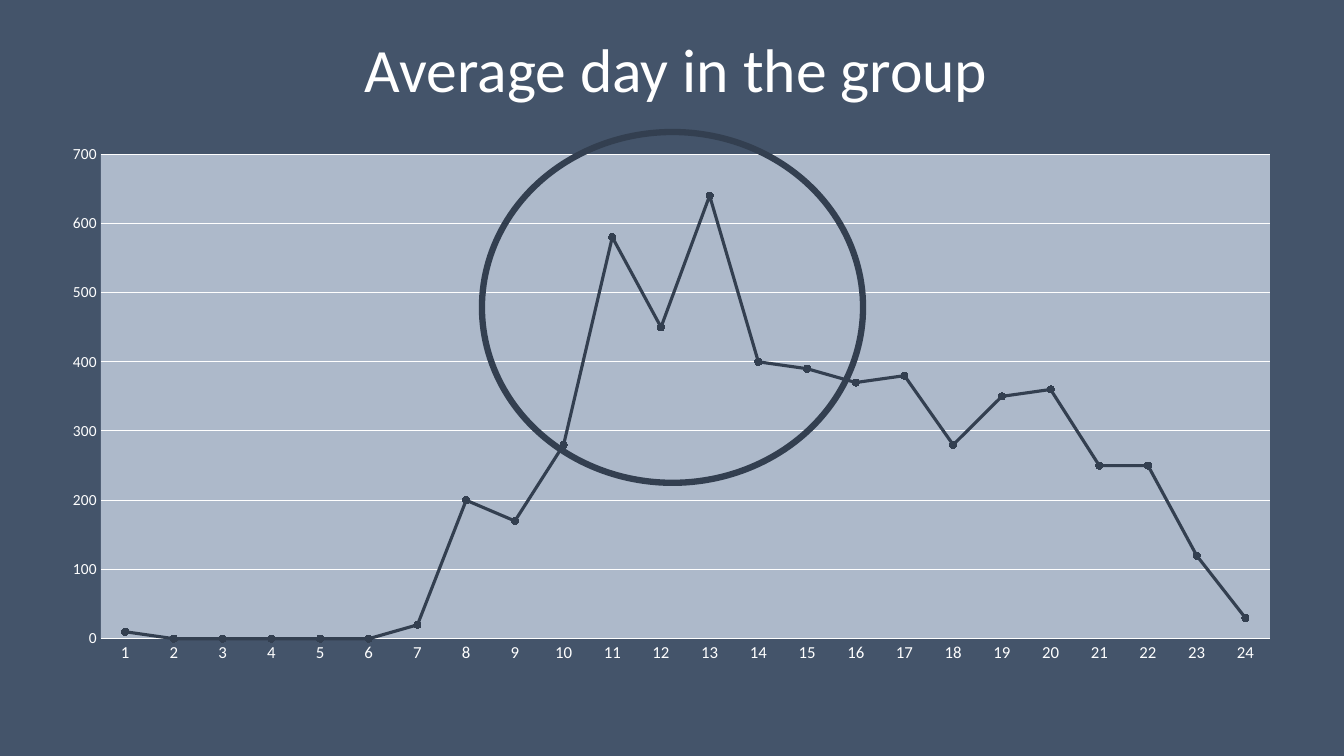
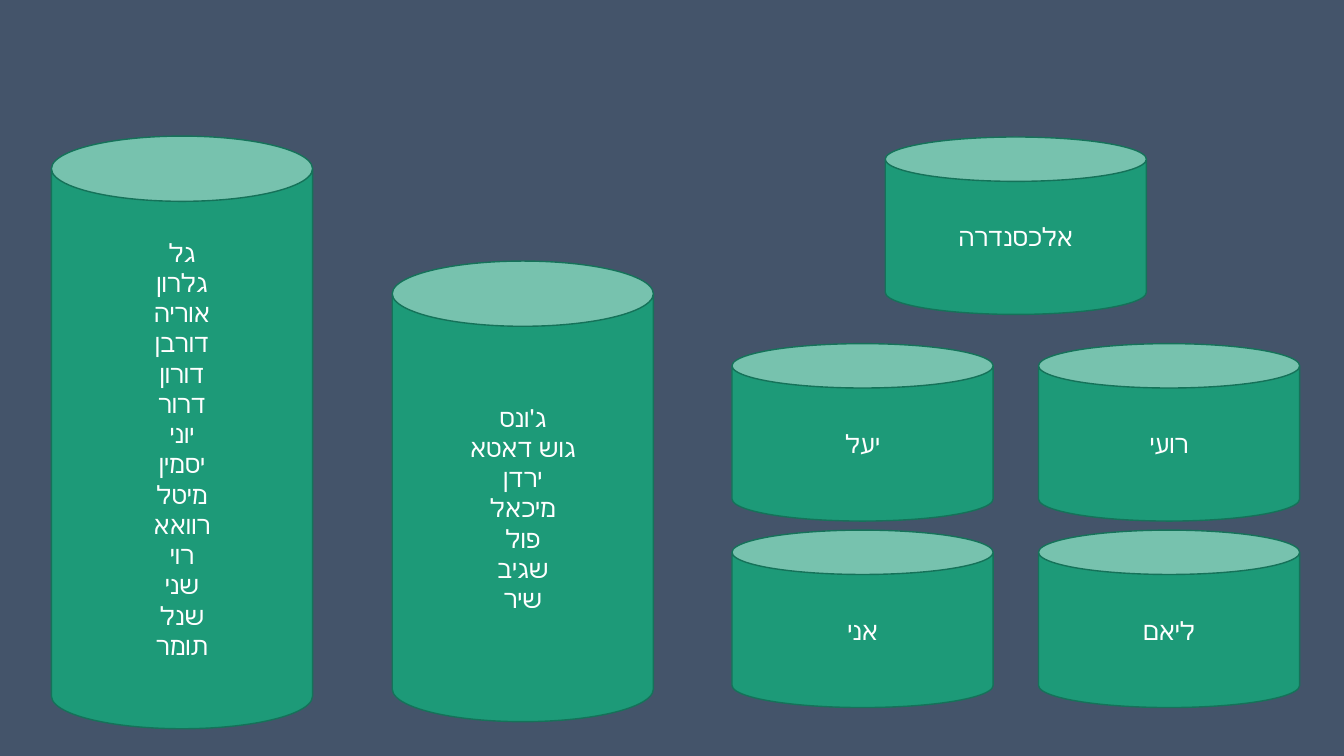
import dataclasses

import lxml.etree
import pptx
import pptx.chart.chart
import pptx.chart.data
import pptx.dml.color
import pptx.dml.fill
import pptx.enum.chart
import pptx.enum.shapes
import pptx.enum.text
import pptx.oxml
import pptx.oxml.ns
import pptx.presentation
import pptx.slide
import pptx.text.text
import pptx.util
from pptx.util import Inches

FONT = "Calibri"
NAVY = "44546A"
DARK = "333F50"
PALE = "ADB9CA"
WHITE = "FFFFFF"
GREEN = "1D9A78"
DEEP_GREEN = "157259"

HOURLY_COUNTS = (
    10, 0, 0, 0, 0, 0, 20, 200, 170, 280, 580, 450,
    640, 400, 390, 370, 380, 280, 350, 360, 250, 250, 120, 30,
)
PLOT_FRAME = {"x": 0.033, "y": 0.112, "w": 0.955, "h": 0.842}

CAN_WIDTH = 2.59
SMALL_HEIGHT = 1.76
LEFT_COLUMN, RIGHT_COLUMN = 7.26, 10.3
UPPER_ROW, LOWER_ROW = 3.41, 5.26


@dataclasses.dataclass(frozen=True)
class Can:
    left: float
    top: float
    names: tuple[str, ...]
    height: float = SMALL_HEIGHT


CANS = (
    Can(0.51, 1.35, (
        "גל", "גלרון", "אוריה", "דורבן", "דורון", "דרור", "יוני",
        "יסמין", "מיטל", "רוואא", "רוי", "שני", "שנל", "תומר",
    ), 5.88),
    Can(3.89, 2.59, (
        "ג'ונס", "גוש דאטא", "ירדן", "מיכאל", "פול", "שגיב", "שיר",
    ), 4.57),
    Can((LEFT_COLUMN + RIGHT_COLUMN) / 2, 1.36, ("אלכסנדרה",)),
    Can(LEFT_COLUMN, UPPER_ROW, ("יעל",)),
    Can(RIGHT_COLUMN, UPPER_ROW, ("רועי",)),
    Can(LEFT_COLUMN, LOWER_ROW, ("אני",)),
    Can(RIGHT_COLUMN, LOWER_ROW, ("ליאם",)),
)


def color(value: str) -> pptx.dml.color.RGBColor:
    return pptx.dml.color.RGBColor.from_string(value)


def paint(fill: pptx.dml.fill.FillFormat, value: str) -> None:
    fill.solid()
    fill.fore_color.rgb = color(value)


def style_font(font: pptx.text.text.Font, size: float) -> None:
    font.name = FONT
    font.size = pptx.util.Pt(size)
    font.bold = False
    font.color.rgb = color(WHITE)


def style_line(line, value: str, width: float) -> None:
    paint(line.fill, value)
    line.width = pptx.util.Pt(width)


def add_slide(presentation: pptx.presentation.Presentation) -> pptx.slide.Slide:
    slide = presentation.slides.add_slide(presentation.slide_layouts[6])
    paint(slide.background.fill, NAVY)
    return slide


def add_title(slide: pptx.slide.Slide, text: str) -> None:
    box = slide.shapes.add_textbox(
        Inches(0.96), Inches(-0.01), Inches(11.5), Inches(1.45)
    )
    frame = box.text_frame
    frame.word_wrap = True
    frame.vertical_anchor = pptx.enum.text.MSO_ANCHOR.MIDDLE
    paragraph = frame.paragraphs[0]
    paragraph.text = text
    paragraph.alignment = pptx.enum.text.PP_ALIGN.CENTER
    paragraph.line_spacing = 0.9
    style_font(paragraph.font, 44)


def format_plot_area(chart: pptx.chart.chart.Chart) -> None:
    """Fix the inner plot frame and give it a pale fill."""
    qn = pptx.oxml.ns.qn
    plot_area = chart.element.find(f".//{qn('c:plotArea')}")
    for old_layout in plot_area.findall(qn("c:layout")):
        plot_area.remove(old_layout)
    layout = lxml.etree.Element(qn("c:layout"))
    manual = lxml.etree.SubElement(layout, qn("c:manualLayout"))
    settings = {"layoutTarget": "inner", "xMode": "edge", "yMode": "edge", **PLOT_FRAME}
    for name, value in settings.items():
        lxml.etree.SubElement(manual, qn(f"c:{name}")).set("val", str(value))
    plot_area.insert(0, layout)

    properties = lxml.etree.SubElement(plot_area, qn("c:spPr"))
    solid = lxml.etree.SubElement(properties, qn("a:solidFill"))
    lxml.etree.SubElement(solid, qn("a:srgbClr")).set("val", PALE)


def format_axes(chart: pptx.chart.chart.Chart) -> None:
    category_axis, value_axis = chart.category_axis, chart.value_axis
    for axis, size in ((category_axis, 12), (value_axis, 11)):
        axis.major_tick_mark = pptx.enum.chart.XL_TICK_MARK.NONE
        axis.minor_tick_mark = pptx.enum.chart.XL_TICK_MARK.NONE
        style_font(axis.tick_labels.font, size)
    style_line(category_axis.format.line, WHITE, 0.75)
    value_axis.format.line.fill.background()
    value_axis.minimum_scale = 0
    value_axis.maximum_scale = 700
    value_axis.major_unit = 100
    style_line(value_axis.major_gridlines.format.line, WHITE, 0.75)


def add_hourly_chart(slide: pptx.slide.Slide) -> None:
    data = pptx.chart.data.CategoryChartData()
    data.categories = [str(hour) for hour in range(1, len(HOURLY_COUNTS) + 1)]
    data.add_series("Series 1", HOURLY_COUNTS)
    chart = slide.shapes.add_chart(
        pptx.enum.chart.XL_CHART_TYPE.LINE_MARKERS,
        Inches(0.6), Inches(0.89), Inches(12.14), Inches(5.71), data,
    ).chart
    chart.has_title = False
    chart.has_legend = False
    style_font(chart.font, 10)
    format_axes(chart)
    format_plot_area(chart)

    chart.plots[0].vary_by_categories = False
    series = chart.plots[0].series[0]
    series.smooth = False
    style_line(series.format.line, DARK, 2.25)
    series.marker.style = pptx.enum.chart.XL_MARKER_STYLE.CIRCLE
    series.marker.size = 5
    paint(series.marker.format.fill, DARK)
    paint(series.marker.format.line.fill, DARK)


def add_peak_ring(slide: pptx.slide.Slide) -> None:
    ring = slide.shapes.add_shape(
        pptx.enum.shapes.MSO_SHAPE.OVAL,
        Inches(4.78), Inches(1.31), Inches(3.78), Inches(3.48),
    )
    ring.shadow.inherit = False
    ring.fill.background()
    style_line(ring.line, DARK, 4.5)


def add_can(slide: pptx.slide.Slide, can: Can) -> None:
    shape = slide.shapes.add_shape(
        pptx.enum.shapes.MSO_SHAPE.CAN,
        Inches(can.left), Inches(can.top), Inches(CAN_WIDTH), Inches(can.height),
    )
    shape.shadow.inherit = False
    paint(shape.fill, GREEN)
    style_line(shape.line, DEEP_GREEN, 1)
    frame = shape.text_frame
    frame.word_wrap = True
    frame.vertical_anchor = pptx.enum.text.MSO_ANCHOR.MIDDLE
    frame.text = "\n".join(can.names)
    for paragraph in frame.paragraphs:
        paragraph.alignment = pptx.enum.text.PP_ALIGN.CENTER
        paragraph._p.get_or_add_pPr().set("rtl", "1")
        style_font(paragraph.font, 18)


def main() -> None:
    presentation = pptx.Presentation()
    presentation.slide_width = Inches(13.33)
    presentation.slide_height = Inches(7.5)

    chart_slide = add_slide(presentation)
    add_hourly_chart(chart_slide)
    add_peak_ring(chart_slide)
    add_title(chart_slide, "Average day in the group")

    names_slide = add_slide(presentation)
    for can in CANS:
        add_can(names_slide, can)

    presentation.save("out.pptx")


if __name__ == "__main__":
    main()
